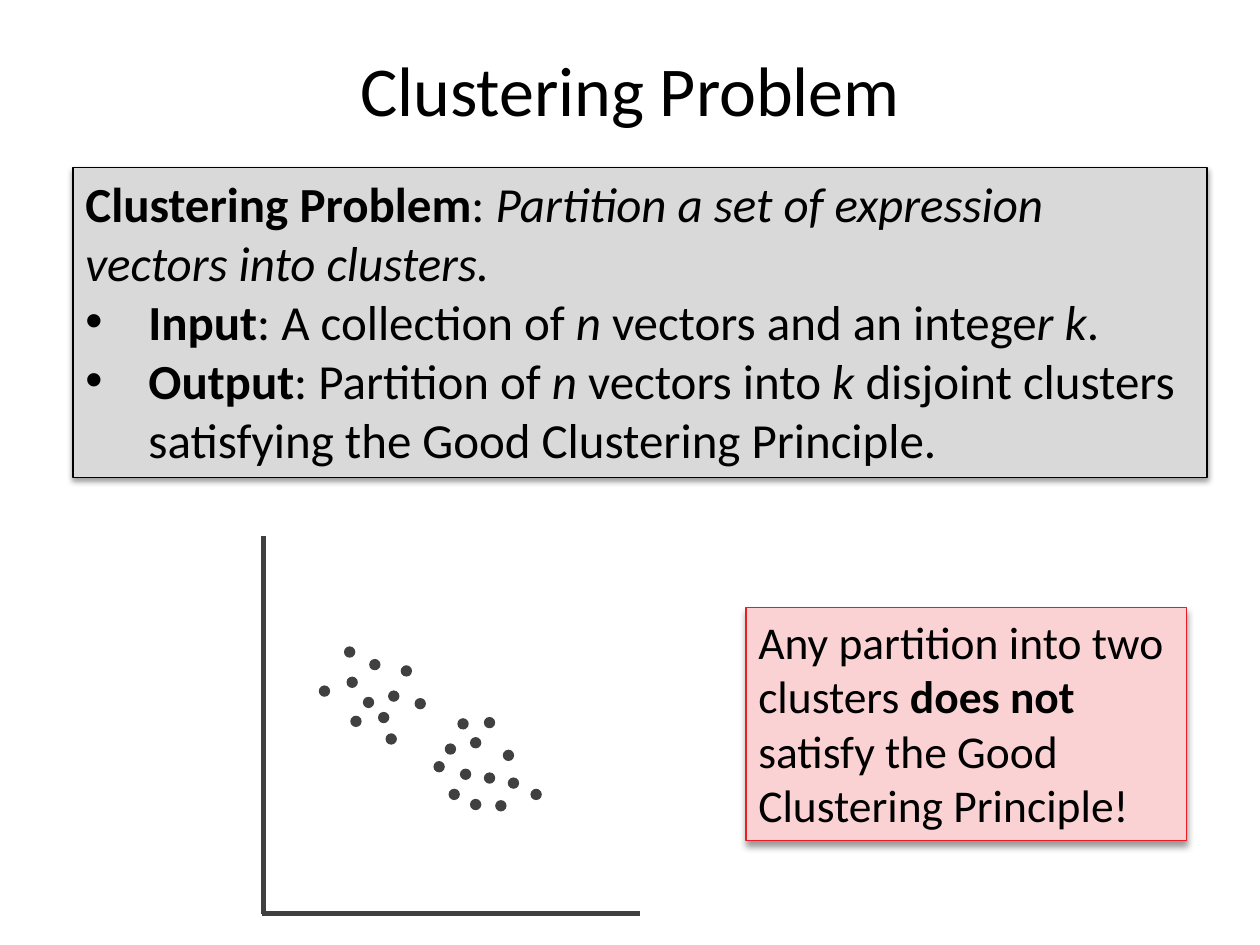
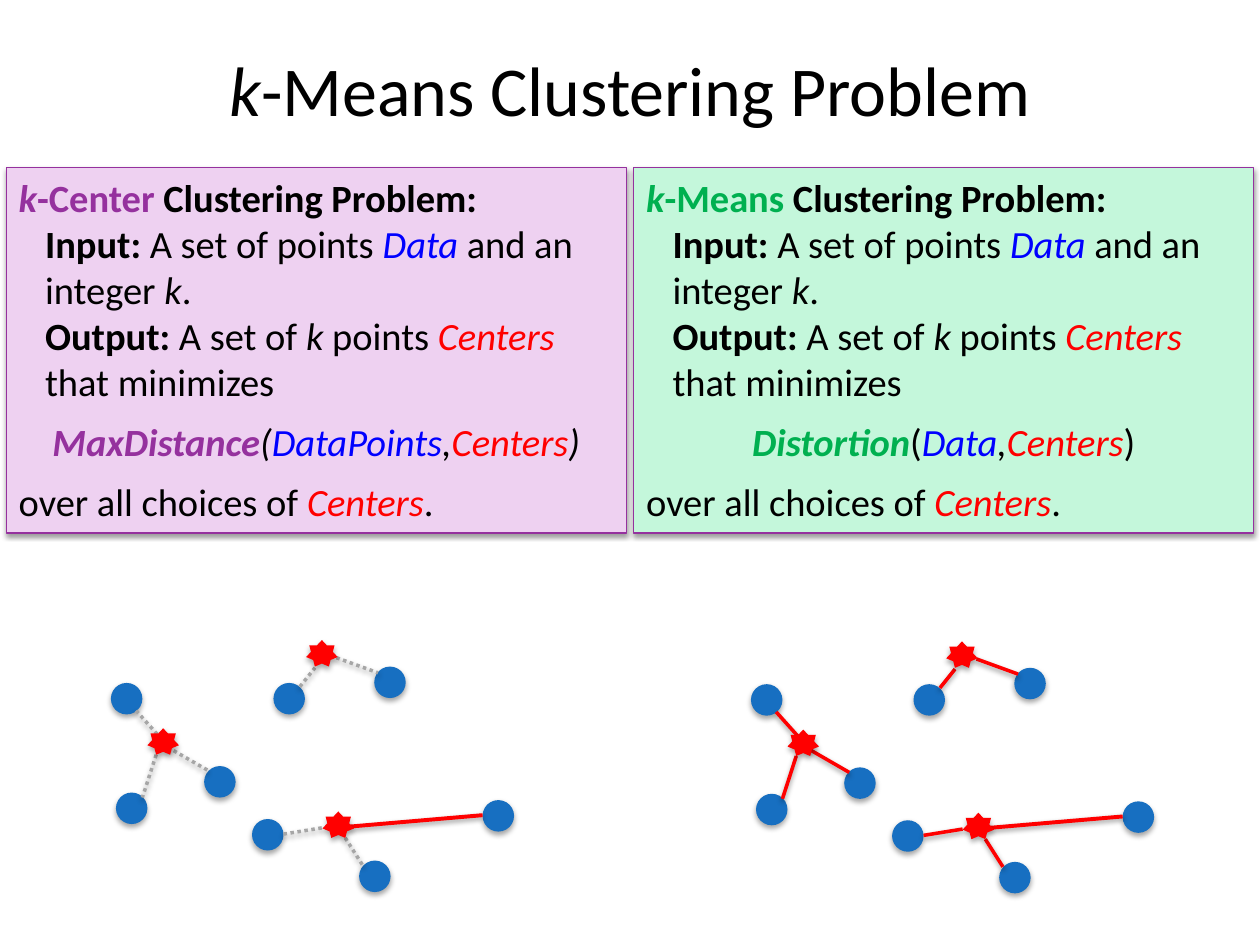
from lxml.etree import SubElement
from pptx import Presentation
from pptx.dml.color import RGBColor as RGB
from pptx.enum.dml import MSO_LINE as Dash
from pptx.enum.shapes import MSO_CONNECTOR as Link, MSO_SHAPE as Form
from pptx.enum.text import MSO_ANCHOR as Anchor, PP_ALIGN as Align
from pptx.oxml.ns import qn
from pptx.util import Pt

PX = 9144  # 100 px to the inch
FONT = "Calibri"
BLACK, GREY, DARK, MIST = RGB(0, 0, 0), RGB(166, 166, 166), RGB(64, 64, 64), RGB(217, 217, 217)
RED, BLUE, SKY = RGB(255, 0, 0), RGB(0, 0, 255), RGB(23, 111, 193)
PLUM, LILAC = RGB(149, 49, 158), RGB(238, 209, 241)
GREEN, MINT = RGB(0, 176, 80), RGB(196, 247, 219)
ROSE, BLUSH = RGB(237, 28, 36), RGB(251, 210, 211)

# Shadows: opacity %, blur pt, distance pt
SOFT, DEEP, ROUND = (38, 3.1, 1.6), (40, 4, 3), (35, 3.1, 1.8)

# Runs: text, style (b, i), colour
# Paragraphs: runs, then format options
TASK = [
    ([("Clustering Problem", "b"), (": ",),
      ("Partition a set of expression vectors into clusters.", "i")], {}),
    ([("Input", "b"), (": A collection of ",), ("n ", "i"),
      ("vectors and an intege",), ("r k", "i"), (".",)], {"left": 50, "mark": "•"}),
    ([("Output", "b"), (": Partition of ",), ("n", "i"), (" vectors into ",), ("k ", "i"),
      ("disjoint clusters satisfying the Good Clustering Principle.",)],
     {"left": 50, "mark": "•"}),
]
NOTE = [([("Any partition into two clusters ",), ("does not ", "b"),
          ("satisfy the Good Clustering Principle!",)], {})]

DOT = 9
AXES = [(209, 425, 209, 725), (508, 725, 208, 725)]
POINTS = [
    (273, 513), (293, 523), (318, 528), (329, 554), (308, 548), (275, 537),
    (253, 544), (288, 553), (300, 565), (278, 568), (306, 582), (363, 570),
    (384, 569), (373, 585), (399, 595), (403, 617), (384, 613), (393, 635),
    (373, 634), (356, 626), (365, 610), (353, 590), (344, 604), (421, 626),
]

CARDS = [
    (5, "Center", PLUM, LILAC,
     [("MaxDistance", "bi", PLUM), ("(", "i"), ("DataPoints", "i", BLUE),
      (",", "i"), ("Centers", "i", RED), (")", "i")]),
    (503, "Means", GREEN, MINT,
     [("Distortion", "bi", GREEN), ("(",), ("Data", "i", BLUE),
      (",", "i"), ("Centers", "i", RED), (")",)]),
]

DATA = [(88, 542), (92, 629), (162, 608), (297, 529), (217, 542),
        (200, 650), (285, 683), (383, 635)]
STARS = [(243, 508), (256, 644), (117, 578)]
NEAR = [(108, 564, 125, 583), (133, 593, 166, 612), (124, 599, 113, 633),
        (225, 662, 256, 657), (274, 665, 288, 687), (238, 545, 250, 530),
        (267, 522, 300, 534)]
FAR = (278, 656, 383, 647)
# Shift right, shift down, colour and dash of the near links
GRAPHS = [(0, 0, GREY, Dash.ROUND_DOT), (508, 1, RED, None)]


def px(*nums):
    return [n * PX for n in nums]


def glow(item, shade=None):
    """Replace the theme shadow by the given one, or by none."""
    fx = SubElement(item._element.spPr, qn("a:effectLst"))
    if shade:
        alpha, blur, dist = shade
        out = SubElement(fx, qn("a:outerShdw"), blurRad=str(Pt(blur)), dist=str(Pt(dist)),
                         dir="5400000", algn="t", rotWithShape="0")
        ink = SubElement(out, qn("a:srgbClr"), val="000000")
        SubElement(ink, qn("a:alpha"), val=str(alpha * 1000))


def form(home, kind, box, fill, edge=None, shade=None):
    item = home.add_shape(kind, *px(*box))
    item.fill.solid()
    item.fill.fore_color.rgb = fill
    if edge:
        item.line.color.rgb = edge
        item.line.width = Pt(0.75)
    else:
        item.line.fill.background()
    glow(item, shade)
    return item


def link(home, ends, ink, width, dash=None, shade=None):
    item = home.add_connector(Link.STRAIGHT, *px(*ends))
    item.line.color.rgb = ink
    item.line.width = Pt(width)
    if dash:
        item.line.dash_style = dash
    glow(item, shade)


def write(par, runs, size):
    for text, style, ink in ((*run, "", BLACK)[:3] if len(run) == 1 else
                             (*run, BLACK)[:3] for run in runs):
        if text == "\n":
            par.add_line_break()
            continue
        run = par.add_run()
        run.text = text
        font = run.font
        font.name, font.size, font.color.rgb = FONT, Pt(size), ink
        font.bold, font.italic = "b" in style, "i" in style


def panel(home, box, fill, edge, shade, pars, size):
    """Filled box with top-aligned paragraphs."""
    frame = form(home, Form.RECTANGLE, box, fill, edge, shade).text_frame
    frame.word_wrap = True
    frame.vertical_anchor = Anchor.TOP
    for n, (runs, opts) in enumerate(pars):
        par = frame.add_paragraph() if n else frame.paragraphs[0]
        props = par._p.get_or_add_pPr()
        left = opts.get("left", 0) * PX
        props.set("marL", str(left))
        if "mark" in opts:
            props.set("indent", str(-left))
            SubElement(props, qn("a:buFont"), typeface="Arial")
            SubElement(props, qn("a:buChar"), char=opts["mark"])
        par.alignment = opts.get("align", Align.LEFT)
        if "space" in opts:
            par.line_spacing = opts["space"]
        write(par, runs, size)


def page(deck, title):
    slide = deck.slides.add_slide(deck.slide_layouts[5])
    head = slide.shapes.title
    head.left, head.top, head.width, head.height = px(50, 8, 900, 125)
    frame = head.text_frame
    frame.vertical_anchor = Anchor.MIDDLE
    par = frame.paragraphs[0]
    par.alignment = Align.CENTER
    write(par, title, 40)
    return slide.shapes


def goal(name, ink, cost):
    """Paragraphs that state one clustering problem."""
    return [
        ([("k", "bi", ink), (f"-{name} ", "b", ink), ("Clustering Problem:", "b")], {}),
        ([("Input:", "b"), (" A set of points ",), ("Data", "i", BLUE), (" and an",),
          ("\n",), ("integer ",), ("k", "i"), (".",)], {"left": 21}),
        ([("Output:", "b"), (" A set of ",), ("k", "i"), (" points ",),
          ("Centers", "i", RED), ("\n",), ("that minimizes",)], {"left": 21}),
        (cost, {"align": Align.CENTER, "space": 1.3}),
        ([("over all choices of ",), ("Centers", "i", RED), (".",)], {"space": 1.3}),
    ]


def graph(home, right, down, ink, dash):
    def move(ends):
        x1, y1, x2, y2 = ends
        return x1 + right, y1 + down, x2 + right, y2 + down

    for x, y in DATA:
        form(home, Form.OVAL, (x + right, y + down, 25, 25), SKY, shade=ROUND)
    for ends in NEAR:
        link(home, move(ends), ink, 2, dash, SOFT)
    link(home, move(FAR), RED, 2.25, shade=SOFT)
    for x, y in STARS:
        form(home, Form.STAR_7_POINT, (x + right, y + down, 25, 21), RED, shade=ROUND)


def main():
    deck = Presentation()
    deck.slide_width, deck.slide_height = px(1000, 750)

    home = page(deck, [("Clustering Problem",)])
    panel(home, (58, 133, 900, 246), MIST, BLACK, SOFT, TASK, 28)
    plot = home.add_group_shape().shapes
    for ends in AXES:
        link(plot, ends, DARK, 3)
    for x, y in POINTS:
        form(plot, Form.OVAL, (x, y, DOT, DOT), DARK)
    panel(home, (592, 482, 350, 185), BLUSH, ROSE, DEEP, NOTE, 26)

    home = page(deck, [("k", "i"), ("-Means Clustering Problem",)])
    for left, name, ink, fill, cost in CARDS:
        panel(home, (left, 133, 492, 290), fill, PLUM, SOFT, goal(name, ink, cost), 22)
    for look in GRAPHS:
        graph(home.add_group_shape().shapes, *look)

    deck.save("out.pptx")


if __name__ == "__main__":
    main()
